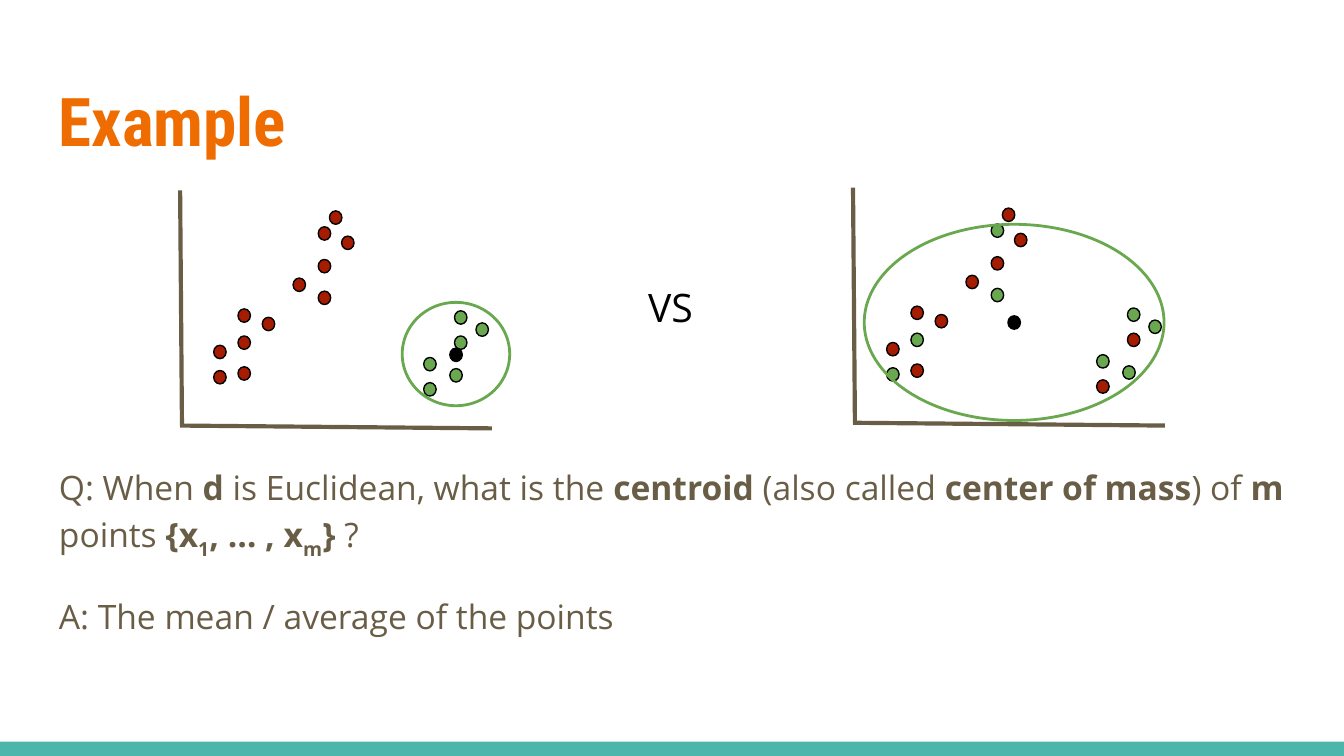
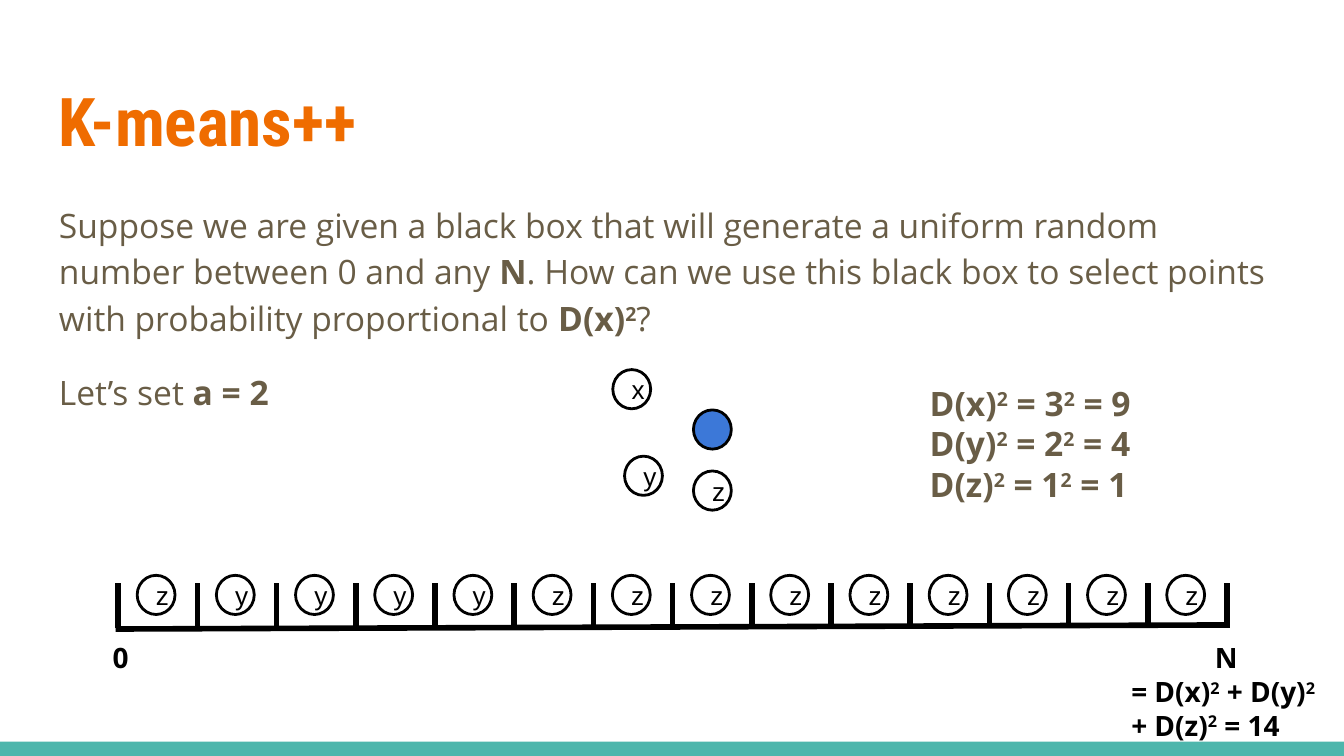
from dataclasses import dataclass

from lxml import etree
from pptx import Presentation
from pptx.dml.color import RGBColor
from pptx.enum import shapes, text
from pptx.oxml import ns
from pptx.util import Pt


@dataclass(frozen=True)
class Theme:
    orange: str = "EF6C00"
    brown: str = "695D46"
    teal: str = "4DB6AC"
    red: str = "A61C00"
    green: str = "6AA84F"
    blue: str = "3C78D8"
    black: str = "000000"
    head_font: str = "Roboto Condensed"
    body_font: str = "Open Sans"
    ball_font: str = "Arial"
    title: int = 36
    versus: int = 21
    body: int = 18
    label: int = 15
    ball: int = 14


T = Theme()
WIDTH, HEIGHT = 720, 405
BAND = 7.6
MARGIN, TEXT_WIDTH = 24.5, 671
LEFT, CENTER = text.PP_ALIGN.LEFT, text.PP_ALIGN.CENTER
BASELINES = {"^": "30000", "_": "-25000"}


def squared(name):
    return [(f"D({name})", "b"), ("2", "b^")]


def distance(name, value):
    return squared(name) + [(f" = {value}", "b"), ("2", "b^"), (f" = {value ** 2}", "b")]


CENTROID_QA = [
    [("Q: When ", ""), ("d", "b"), (" is Euclidean, what is the ", ""),
     ("centroid", "b"), (" (also called ", ""), ("center of mass", "b"),
     (") of ", ""), ("m", "b"), (" points ", ""), ("{x", "b"), ("1", "b_"),
     (", … , x", "b"), ("m", "b_"), ("} ", "b"), ("?", "")],
    [("A: The mean / average of the points", "")],
]
POINTS = [
    (31, 94.5, "rr"), (31, 63.5, "rr"), (44, 68, "rr"), (74, 19.5, "rg"),
    (31, 78, "rg"), (18, 83, "rr"), (86.5, 24.5, "rr"), (74, 37, "rr"),
    (80, 11, "rr"), (60.5, 47, "rr"), (74, 54, "rg"), (18, 96.5, "rg"),
    (130.5, 89.5, "gg"), (144.5, 95.5, "gg"), (147, 78, "gr"),
    (158.5, 71, "gg"), (130.5, 103, "gr"), (147, 64.5, "gg"),
]
POINT_COLORS = {"r": T.red, "g": T.green}
POINT_SIZE = (6.7, 7.2)
AXES = [((0, 0), (1, 126)), ((0, 126), (167, 127.5))]
PLOTS = [
    {"origin": (96.5, 102), "cluster": (119, 60, 57.6, 55.4), "centroid": (144.5, 84.5)},
    {"origin": (457, 100.5), "cluster": (6, 19.7, 160.6, 105.1), "centroid": (83, 68.7)},
]

QUESTION = [
    [("Suppose we are given a black box that will generate a uniform random "
      "number between 0 and any ", ""), ("N", "b"),
     (". How can we use this black box to select points with probability "
      "proportional to ", "")] + squared("x") + [("?", "")],
]
SETTING = [[("Let’s set ", ""), ("a = 2", "b")]]
DISTANCES = [distance("x", 3), distance("y", 2), distance("z", 1)]
TOTAL = [
    [("N", "b")],
    [("= ", "b"), *squared("x"), (" + ", "b"), *squared("y"),
     (" + ", "b"), *squared("z"), (" = 14", "b")],
]
BALLS = [("x", 328.3, 198, None), ("", 371.5, 219.6, T.blue),
         ("y", 334.6, 244.4, None), ("z", 371.5, 252.3, None)]
BALL_SIZE = (20.3, 21)
SLOTS = "zyyyyzzzzzzzzz"
RULER_LEFT, RULER_RIGHT = 63.3, 657.3
TICK_TOP, TICK_BOTTOM = 312.5, 336.2
SLOT_INDENT, SLOT_TOP = 10.2, 308.2


def rgb(color):
    return RGBColor.from_string(color)


def write(s, paragraphs, size, color=T.brown, font=T.body_font, aligns=(),
          spacing=None, gaps=()):
    tf = s.text_frame
    tf.word_wrap = True
    tf.margin_left = tf.margin_right = tf.margin_top = tf.margin_bottom = Pt(7.2)
    for i, runs in enumerate(paragraphs):
        p = tf.paragraphs[0] if i == 0 else tf.add_paragraph()
        p.alignment = aligns[i] if i < len(aligns) else LEFT
        if spacing:
            p.line_spacing = spacing
        if i < len(gaps):
            p.space_before, p.space_after = map(Pt, gaps[i])
        for content, style in runs:
            r = p.add_run()
            r.text = content
            r.font.name = font
            r.font.size = Pt(size)
            r.font.bold = "b" in style
            r.font.color.rgb = rgb(color)
            for mark, shift in BASELINES.items():
                if mark in style:
                    r.font._element.set("baseline", shift)
    return tf


def add_text(s, box, paragraphs, size, **options):
    return write(s.shapes.add_textbox(*map(Pt, box)), paragraphs, size, **options)


def add_shape(s, kind, box, fill=None, line=None, weight=0.75):
    sp = s.shapes.add_shape(kind, *map(Pt, box))
    sp.shadow.inherit = False
    if fill:
        sp.fill.solid()
        sp.fill.fore_color.rgb = rgb(fill)
    else:
        sp.fill.background()
    if line:
        sp.line.color.rgb = rgb(line)
        sp.line.width = Pt(weight)
    else:
        sp.line.fill.background()
    return sp


def add_oval(s, box, fill=None, line=T.black, weight=0.75):
    return add_shape(s, shapes.MSO_SHAPE.OVAL, box, fill, line, weight)


def add_line(s, start, end, color, weight):
    c = s.shapes.add_connector(shapes.MSO_CONNECTOR.STRAIGHT, *map(Pt, (*start, *end)))
    c.line.color.rgb = rgb(color)
    c.line.width = Pt(weight)
    etree.SubElement(c._element.spPr, ns.qn("a:effectLst"))


def add_ball(s, label, x, y, fill=None):
    sp = add_oval(s, (x, y, *BALL_SIZE), fill, weight=1.5)
    if label:
        tf = write(sp, [[(label, "")]], T.ball, color=T.black, font=T.ball_font)
        tf.vertical_anchor = text.MSO_ANCHOR.MIDDLE


def add_slide(prs, title):
    s = prs.slides.add_slide(prs.slide_layouts[6])
    add_shape(s, shapes.MSO_SHAPE.RECTANGLE, (0, HEIGHT - BAND, WIDTH, BAND), T.teal)
    add_text(s, (MARGIN, 35.5, TEXT_WIDTH, 55.4), [[(title, "b")]], T.title,
             color=T.orange, font=T.head_font)
    return s


def add_plot(s, index, plot):
    left, top = plot["origin"]

    def place(x, y):
        return left + x, top + y

    for x, y, colors in POINTS:
        add_oval(s, (*place(x, y), *POINT_SIZE), POINT_COLORS[colors[index]])
    for start, end in AXES:
        add_line(s, place(*start), place(*end), T.brown, 2.25)
    x, y, w, h = plot["cluster"]
    add_oval(s, (*place(x, y), w, h), line=T.green, weight=1.5)
    add_oval(s, (*place(*plot["centroid"]), *POINT_SIZE), T.black)


def build_example(prs):
    s = add_slide(prs, "Example")
    for index, plot in enumerate(PLOTS):
        add_plot(s, index, plot)
    add_text(s, (324.7, 144.7, 69, 38), [[("VS", "")]], T.versus,
             color=T.black, aligns=[CENTER])
    add_text(s, (MARGIN, 239.8, TEXT_WIDTH, 117.4), CENTROID_QA, T.body,
             spacing=1.15, gaps=[(0, 0), (16, 16)])


def build_kmeans(prs):
    s = add_slide(prs, "K-means++")
    add_text(s, (MARGIN, 99.4, TEXT_WIDTH, 83.5), QUESTION, T.body,
             spacing=1.15, gaps=[(0, 16)])
    add_text(s, (MARGIN, 192.2, 178.6, 33.8), SETTING, T.body)
    add_text(s, (491, 198, 143.3, 77.8), DISTANCES, T.body)
    for ball in BALLS:
        add_ball(s, *ball)

    add_line(s, (RULER_LEFT - 1.4, 337), (RULER_RIGHT + 0.8, 334.8), T.black, 3)
    step = (RULER_RIGHT - RULER_LEFT) / len(SLOTS)
    ticks = [RULER_LEFT + i * step for i in range(len(SLOTS) + 1)]
    for x in ticks:
        add_line(s, (x, TICK_BOTTOM), (x, TICK_TOP), T.black, 3)
    for x, label in zip(ticks, SLOTS):
        add_ball(s, label, x + SLOT_INDENT, SLOT_TOP)
    add_text(s, (53.3, 336.2, 20.2, 20.9), [[("0", "b")]], T.label, color=T.black)
    add_text(s, (599, 336.2, 116, 49.7), TOTAL, T.label, color=T.black, aligns=[CENTER])


def main():
    prs = Presentation()
    prs.slide_width, prs.slide_height = Pt(WIDTH), Pt(HEIGHT)
    build_example(prs)
    build_kmeans(prs)
    prs.save("out.pptx")


if __name__ == "__main__":
    main()
